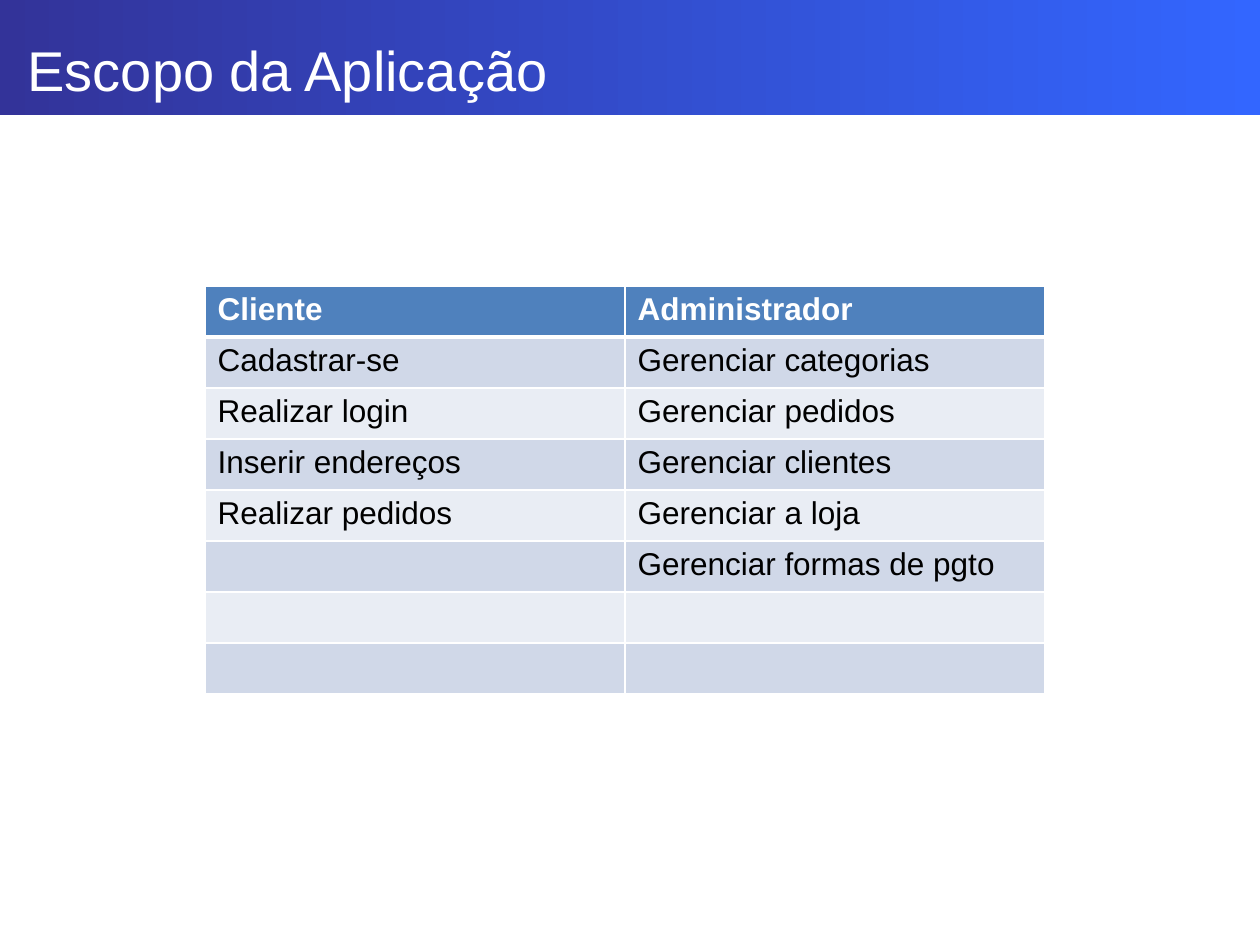
from itertools import zip_longest

from lxml import etree
from pptx import Presentation
from pptx import util as u
from pptx.dml.color import RGBColor
from pptx.enum import shapes, text
from pptx.oxml.ns import qn

TITLE = "Escopo da Aplicação"
COLUMNS = {
    "Cliente": ["Cadastrar-se", "Realizar login", "Inserir endereços", "Realizar pedidos"],
    "Administrador": ["Gerenciar categorias", "Gerenciar pedidos", "Gerenciar clientes",
                      "Gerenciar a loja", "Gerenciar formas de pgto"],
}
ROW_COUNT = 8

THEME = {
    "font": "Arial", "title_size": 32, "table_size": 18,
    "light": "FFFFFF", "dark": "000000", "header": "4F81BD",
    "bands": ("D0D8E8", "E9EDF4"), "gradient": ("333399", "3366FF"),
    "line": 1, "header_line": 3,
}

PIXEL = u.Inches(1) / 126
SLIDE_SIZE = (1260, 945)
BAND_BOX = (0, 0, 1260, 115)
TITLE_BOX = (15, 10, 1220, 118)
TABLE_BOX = (205, 286, 840, 51 * ROW_COUNT)


def px(length):
    """Turn picture pixels into EMU."""
    return u.Emu(round(length * PIXEL))


def write(frame, words, size, color, bold=False):
    """Put formatted, left-aligned text into a text frame."""
    paragraph = frame.paragraphs[0]
    paragraph.alignment = text.PP_ALIGN.LEFT
    paragraph.font.size = u.Pt(size)
    if words:
        run = paragraph.add_run()
        run.text = words
        run.font.name = THEME["font"]
        run.font.size = u.Pt(size)
        run.font.bold = bold
        run.font.color.rgb = RGBColor.from_string(color)


def set_borders(cell, **widths):
    """Draw the cell's borders, each side at its width in points."""
    properties = cell._tc.get_or_add_tcPr()
    for side in ("L", "R", "T", "B"):
        width = u.Pt(widths.get(side, THEME["line"]))
        line = etree.SubElement(properties, qn(f"a:ln{side}"), w=str(width))
        fill = etree.SubElement(line, qn("a:solidFill"))
        etree.SubElement(fill, qn("a:srgbClr"), val=THEME["light"])


def add_title(slide):
    """Fill the title placeholder and lay the gradient band behind it."""
    title = slide.shapes.title
    title.left, title.top, title.width, title.height = map(px, TITLE_BOX)
    title.text_frame.vertical_anchor = text.MSO_ANCHOR.MIDDLE
    write(title.text_frame, TITLE, THEME["title_size"], THEME["light"])

    band = slide.shapes.add_shape(shapes.MSO_SHAPE.RECTANGLE, *map(px, BAND_BOX))
    band.shadow.inherit = False
    band.line.fill.background()
    band.fill.gradient()
    band.fill.gradient_angle = 0
    for stop, color in zip(band.fill.gradient_stops, THEME["gradient"]):
        stop.color.rgb = RGBColor.from_string(color)
    title._element.addprevious(band._element)


def add_scope_table(slide):
    """Add the table with one column for each role."""
    rows = [tuple(COLUMNS), *zip_longest(*COLUMNS.values(), fillvalue="")]
    rows += [("",) * len(COLUMNS)] * (ROW_COUNT - len(rows))
    table = slide.shapes.add_table(ROW_COUNT, len(COLUMNS), *map(px, TABLE_BOX)).table
    for index, row in enumerate(rows):
        header = index == 0
        fill = THEME["header"] if header else THEME["bands"][(index - 1) % 2]
        thick = {0: {"B": THEME["header_line"]}, 1: {"T": THEME["header_line"]}}.get(index, {})
        for column, words in enumerate(row):
            cell = table.cell(index, column)
            set_borders(cell, **thick)
            cell.fill.solid()
            cell.fill.fore_color.rgb = RGBColor.from_string(fill)
            write(cell.text_frame, words, THEME["table_size"],
                  THEME["light" if header else "dark"], bold=header)


presentation = Presentation()
presentation.slide_width, presentation.slide_height = map(px, SLIDE_SIZE)
slide = presentation.slides.add_slide(presentation.slide_layouts[5])
add_title(slide)
add_scope_table(slide)
presentation.save("out.pptx")
